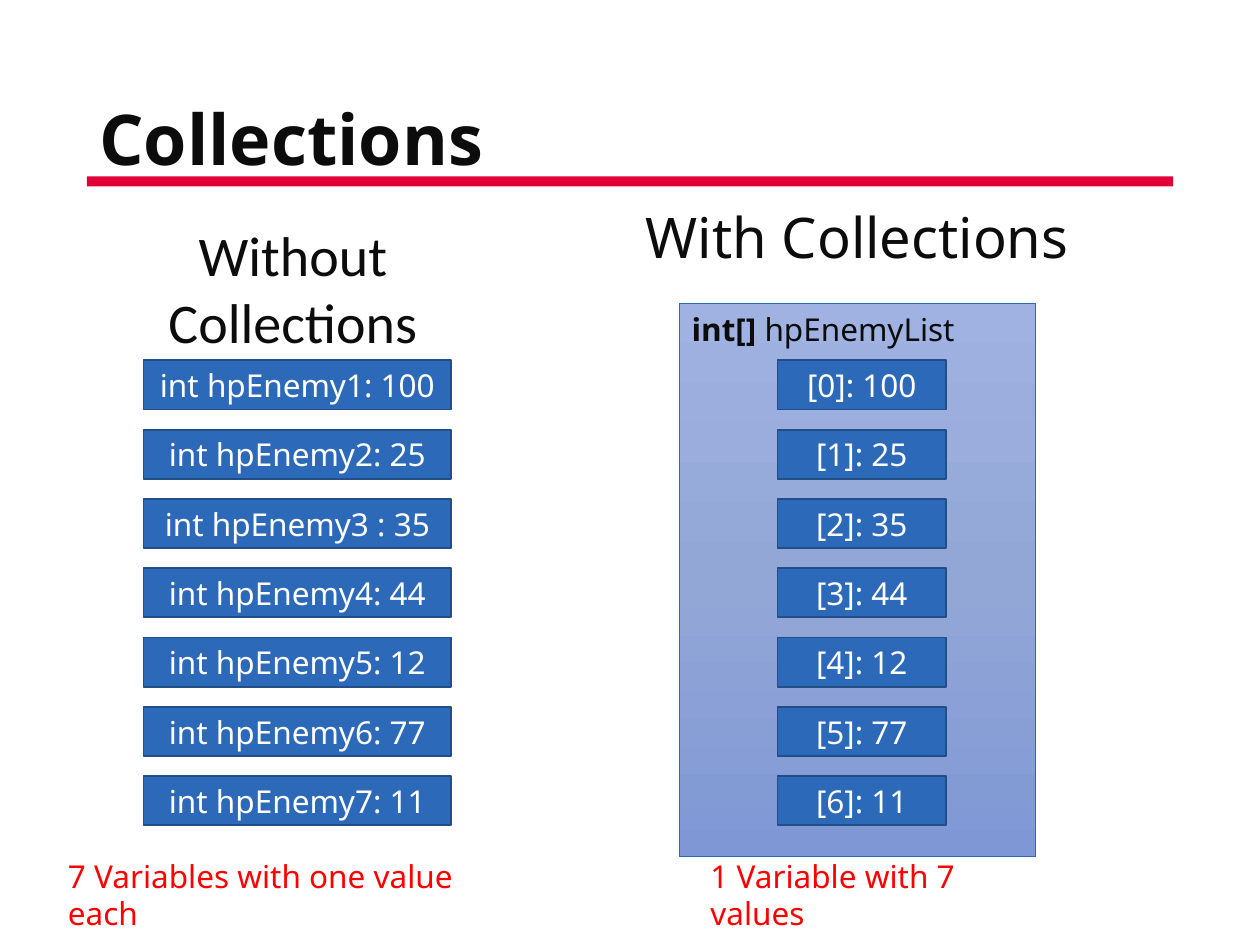
from copy import deepcopy

from pptx import Presentation
from pptx.dml.color import RGBColor
from pptx.enum.shapes import MSO_SHAPE
from pptx.enum.text import MSO_ANCHOR, PP_ALIGN
from pptx.util import Inches, Pt

RECTANGLE = MSO_SHAPE.RECTANGLE
TOP, MIDDLE, BOTTOM = MSO_ANCHOR.TOP, MSO_ANCHOR.MIDDLE, MSO_ANCHOR.BOTTOM
LEFT, CENTER = PP_ALIGN.LEFT, PP_ALIGN.CENTER

COLORS = {
    "ink": "0C0C0C",
    "white": "FFFFFF",
    "red": "FF0000",
    "rule": "E20039",
    "box": "2D69B9",
    "box_line": "214E89",
    "list_top": "A0B2E1",
    "list_middle": "93A7D6",
    "list_bottom": "7F98D5",
}
COLORS = {name: RGBColor.from_string(value) for name, value in COLORS.items()}


def write(shape, runs, size, color="ink", font="Noto Sans", align=LEFT,
          anchor=TOP, line_spacing=None):
    """Fill a shape with one paragraph; runs are (text, bold) pairs."""
    frame = shape.text_frame
    frame.word_wrap = True
    frame.vertical_anchor = anchor
    paragraph = frame.paragraphs[0]
    paragraph.alignment = align
    paragraph.line_spacing = line_spacing
    for text, bold in runs:
        run = paragraph.add_run()
        run.text = text
        run.font.name = font
        run.font.size = Pt(size)
        run.font.bold = bold
        run.font.color.rgb = COLORS[color]


def add_rectangle(left, top, width, height, fill, line=None, line_width=1):
    shape = slide.shapes.add_shape(
        RECTANGLE, Inches(left), Inches(top), Inches(width), Inches(height))
    shape.shadow.inherit = False
    shape.fill.solid()
    shape.fill.fore_color.rgb = COLORS[fill]
    if line:
        shape.line.color.rgb = COLORS[line]
        shape.line.width = Pt(line_width)
    else:
        shape.line.fill.background()
    return shape


presentation = Presentation()
presentation.slide_width = Inches(10)
presentation.slide_height = Inches(7.5)
slide = presentation.slides.add_slide(presentation.slide_layouts[6])

# List panel with a three-stop vertical gradient
panel = add_rectangle(5.39, 2.41, 2.83, 4.39, "list_top", "box", 0.5)
panel.fill.gradient()
panel.fill.gradient_angle = 270
stop_list = panel.fill._fill._gradFill.gsLst
stop_list.insert(1, deepcopy(stop_list[0]))
gradient = [(0, "list_top"), (0.5, "list_middle"), (1, "list_bottom")]
for stop, (position, color) in zip(panel.fill.gradient_stops, gradient):
    stop.position = position
    stop.color.rgb = COLORS[color]
write(panel, [("int[] ", True), ("hpEnemyList", False)], 18)

# Title with the rule below it
add_rectangle(0.69, 1.4, 8.62, 0.08, "rule")
title = slide.shapes.add_textbox(
    Inches(0.69), Inches(0.4), Inches(8.62), Inches(1.08))
write(title, [("Collections", True)], 40, anchor=BOTTOM, line_spacing=0.9)

# Column headings
for text, left, top, font, spacing in [
    ("With Collections", 4.92, 1.62, "Noto Sans", 0.9),
    ("Without Collections", 0.44, 1.7, "Calibri", None),
]:
    heading = slide.shapes.add_textbox(
        Inches(left), Inches(top), Inches(3.77), Inches(4.94))
    write(heading, [(text, False)], 32, font=font, align=CENTER,
          line_spacing=spacing)

# Seven variables beside the seven entries of one list
variables = ["1: 100", "2: 25", "3 : 35", "4: 44", "5: 12", "6: 77", "7: 11"]
for index, variable in enumerate(variables):
    value = variable.split()[-1]
    for text, left, width in [
        (f"int hpEnemy{variable}", 1.14, 2.44),
        (f"[{index}]: {value}", 6.17, 1.34),
    ]:
        box = add_rectangle(
            left, 2.86 + 0.55 * index, width, 0.39, "box", "box_line")
        write(box, [(text, False)], 18, "white", align=CENTER, anchor=MIDDLE)

# Captions
for text, left, width in [
    ("7 Variables with one value each", 0.44, 3.42),
    ("1 Variable with 7 values", 5.54, 2.59),
]:
    caption = slide.shapes.add_textbox(
        Inches(left), Inches(6.75), Inches(width), Inches(0.4))
    write(caption, [(text, False)], 18, "red")

presentation.save("out.pptx")
